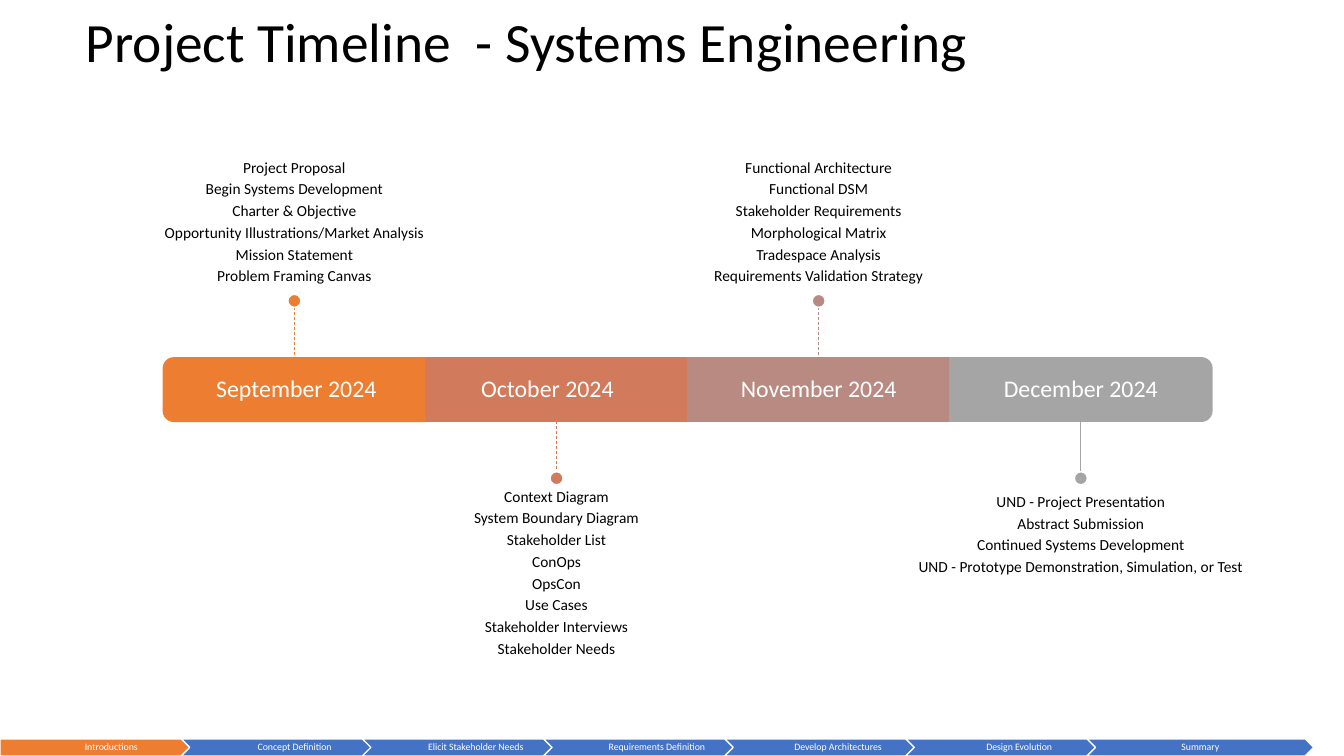
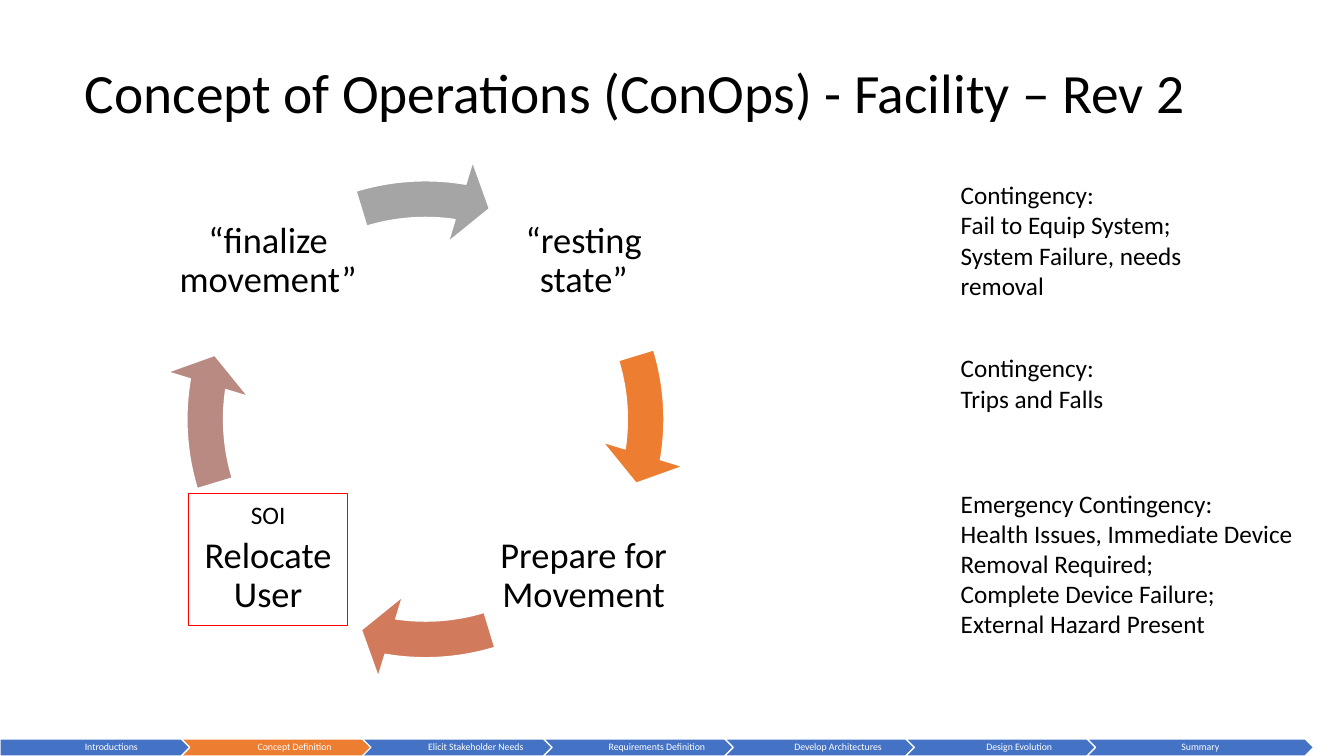
from pptx import Presentation
from pptx.dml.color import RGBColor
from pptx.enum import dml, shapes, text
from pptx.oxml import xmlchemy as xml
from pptx.util import Inches, Pt

BLACK = RGBColor(0x00, 0x00, 0x00)
WHITE = RGBColor(0xFF, 0xFF, 0xFF)
RED = RGBColor(0xFF, 0x00, 0x00)
BLUE = RGBColor(0x44, 0x72, 0xC4)
ORANGE = RGBColor(0xED, 0x7D, 0x31)
TONES = [ORANGE, RGBColor(0xD1, 0x7B, 0x5C), RGBColor(0xB9, 0x8A, 0x82), RGBColor(0xA5, 0xA5, 0xA5)]
FONT = "Calibri"
SHAPE = shapes.MSO_SHAPE
LEFT, CENTER = text.PP_ALIGN.LEFT, text.PP_ALIGN.CENTER
TOP, MIDDLE, BOTTOM = text.MSO_ANCHOR.TOP, text.MSO_ANCHOR.MIDDLE, text.MSO_ANCHOR.BOTTOM

STAGES = ["Introductions", "Concept Definition", "Elicit Stakeholder Needs",
          "Requirements Definition", "Develop Architectures", "Design Evolution", "Summary"]

MONTHS = [
    ("September 2024", 0.02, ["Project Proposal", "Begin Systems Development", "Charter & Objective",
                              "Opportunity Illustrations/Market Analysis", "Mission Statement",
                              "Problem Framing Canvas"]),
    ("October 2024", -0.09, ["Context Diagram", "System Boundary Diagram", "Stakeholder List", "ConOps",
                             "OpsCon", "Use Cases", "Stakeholder Interviews", "Stakeholder Needs"]),
    ("November 2024", 0, ["Functional Architecture", "Functional DSM", "Stakeholder Requirements",
                          "Morphological Matrix", "Tradespace Analysis",
                          "Requirements Validation Strategy"]),
    ("December 2024", 0, ["UND - Project Presentation", "Abstract Submission",
                          "Continued Systems Development",
                          "UND - Prototype Demonstration, Simulation, or Test"]),
]

STEPS = [("“resting state”", 1, 0), ("Prepare for Movement", 1, 1),
         ("Relocate User", 0, 1), ("“finalize movement”", 0, 0)]

RISKS = [
    (1.73, 2.98, 1.31, ["Contingency:", "Fail to Equip System;", "System Failure, needs removal"]),
    (3.45, 1.69, 0.71, ["Contingency:", "Trips and Falls"]),
    (4.79, 3.49, 1.62, ["Emergency Contingency:", "Health Issues, Immediate Device Removal Required;",
                        "Complete Device Failure;", "External Hazard Present"]),
]


def write(frame, lines, size, color=BLACK, align=CENTER, lead=0.9, after=0):
    frame.text = "\n".join(lines)
    for para in frame.paragraphs:
        para.alignment = align
        para.line_spacing = lead
        para.space_after = Pt(after)
        para.font.size = Pt(size)
        para.font.name = FONT
        para.font.color.rgb = color


def inset(frame, left, top, right, bottom):
    frame.margin_left, frame.margin_top = Inches(left), Inches(top)
    frame.margin_right, frame.margin_bottom = Inches(right), Inches(bottom)


def add_text(slide, box, lines, size, anchor=MIDDLE, pads=(0, 0, 0, 0), **style):
    frame = slide.shapes.add_textbox(*map(Inches, box)).text_frame
    frame.word_wrap = True
    frame.vertical_anchor = anchor
    inset(frame, *pads)
    write(frame, lines, size, **style)


def add_form(slide, kind, box, fill, line, width=1):
    form = slide.shapes.add_shape(kind, *map(Inches, box))
    form.shadow.inherit = False
    if fill is None:
        form.fill.background()
    else:
        form.fill.solid()
        form.fill.fore_color.rgb = fill
    form.line.color.rgb = line
    form.line.width = Pt(width)
    return form


def add_stem(slide, x, start, end, color, dashed):
    stem = slide.shapes.add_connector(shapes.MSO_CONNECTOR.STRAIGHT,
                                      Inches(x), Inches(start), Inches(x), Inches(end))
    stem.line.color.rgb = color
    stem.line.width = Pt(0.5)
    if dashed:
        stem.line.dash_style = dml.MSO_LINE.DASH
    props = stem.element.spPr
    props.append(props.makeelement(xml.qn("a:effectLst"), {}))
    return stem


def add_title(slide, box, words):
    title = slide.shapes.title
    title.left, title.top, title.width, title.height = map(Inches, box)
    frame = title.text_frame
    frame.word_wrap = True
    frame.auto_size = text.MSO_AUTO_SIZE.NONE
    frame.vertical_anchor = MIDDLE
    write(frame, [words], 39.6, align=LEFT)


def add_track(slide, left, top, active):
    step = 10.78 / 6
    for i, stage in enumerate(STAGES):
        kind = SHAPE.CHEVRON if i else SHAPE.PENTAGON
        form = add_form(slide, kind, (left + i * step, top, 2.25, 0.17),
                        ORANGE if i == active else BLUE, WHITE)
        form.text_frame.word_wrap = False
        inset(form.text_frame, 0, 0, 0, 0)
        write(form.text_frame, [stage], 7, WHITE)


def add_month(slide, left, top, i):
    name, nudge, tasks = MONTHS[i]
    tone = TONES[i]
    wide, high, stem, dot, span = 2.6, 0.63, 0.5, 0.13, 4.33
    mid, base = left + wide / 2, top + high
    if i in (0, len(MONTHS) - 1):
        box = (mid - high / 2, top + high / 2 - wide / 2, high, wide)
        band = add_form(slide, SHAPE.ROUND_2_SAME_RECTANGLE, box, tone, tone)
        band.rotation = 90 if i else 270
    else:
        band = add_form(slide, SHAPE.RECTANGLE, (left, top, wide, high), tone, tone)
    add_text(slide, (left + nudge, top, wide, high), [name], 17, color=WHITE)

    above = i % 2 == 0
    start, end = (top - stem, top) if above else (base, base + stem)
    mark = start - dot if above else end
    line = add_stem(slide, mid, start, end, tone, i < len(MONTHS) - 1)
    knob = add_form(slide, SHAPE.OVAL, (mid - dot / 2, mark, dot, dot), tone, WHITE)
    if band.rotation == 0:
        if above:
            line.end_connect(band, 0)
        else:
            line.begin_connect(band, 2)
    if not above:
        line.end_connect(knob, 0)

    if above:
        box, anchor, pads = (mid - span / 2, mark - 2.22, span, 2.22), BOTTOM, (0, 0, 0, 0.09)
    else:
        drop = 0.13 if band.rotation else 0.08
        box, anchor, pads = (mid - span / 2, mark + drop, span, 2.22), TOP, (0, 0.09, 0, 0)
    add_text(slide, box, tasks, 11, anchor, pads, after=3.65)


def add_cycle(slide, left, top):
    for i, (name, col, row) in enumerate(STEPS):
        box = (left + 0.12 + 3.13 * col, top + 0.11 + 3.13 * row, 1.84, 1.84)
        add_text(slide, box, [name], 26, pads=(0.04,) * 4)
        arrow = add_form(slide, SHAPE.CIRCULAR_ARROW, (left, top, 5.2, 5.2), TONES[i], WHITE)
        turn = 54 * i
        values = 0.07, 4.65, 5.49 + turn, (205.85 + turn) % 216, 0.08
        for j, value in enumerate(values):
            arrow.adjustments[j] = value
    focus = add_form(slide, SHAPE.RECTANGLE, (left + 0.25, top + 3.34, 1.58, 1.31), None, RED, 0.75)
    focus.text_frame.vertical_anchor = TOP
    write(focus.text_frame, ["SOI"], 18, lead=1)


def add_risks(slide, left):
    for top, wide, high, lines in RISKS:
        add_text(slide, (left, top, wide, high), lines, 18, TOP, (0.1, 0.05, 0.1, 0.05),
                 align=LEFT, lead=1)


def build_time(slide):
    add_title(slide, (0.75, 0.18, 11.08, 0.52), "Project Timeline  - Systems Engineering")
    for i in range(len(MONTHS)):
        add_month(slide, 1.62 + 2.6 * i, 3.55, i)
    add_track(slide, 0, 7.33, 0)


def build_ops(slide):
    add_title(slide, (0.74, 0.69, 11.5, 0.52), "Concept of Operations (ConOps) - Facility – Rev 2")
    add_cycle(slide, 1.62, 1.56)
    add_risks(slide, 9.43)
    add_track(slide, 0, 7.33, 1)


def main():
    deck = Presentation()
    deck.slide_width, deck.slide_height = Inches(13.33), Inches(7.5)
    for build in (build_time, build_ops):
        build(deck.slides.add_slide(deck.slide_layouts[5]))
    deck.save("out.pptx")


if __name__ == "__main__":
    main()
